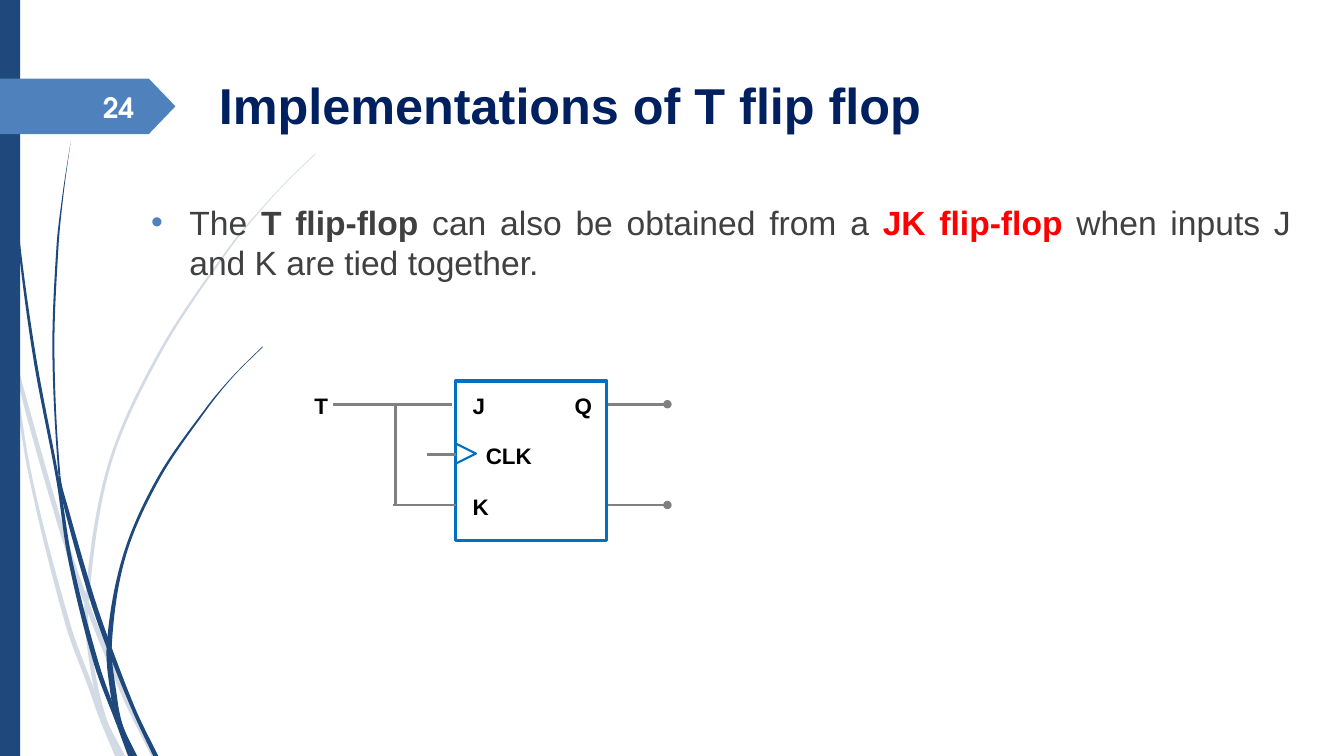
from dataclasses import dataclass

from lxml import etree
from pptx import Presentation
from pptx import util as u
from pptx.dml.color import RGBColor
from pptx.enum import shapes, text
from pptx.oxml.ns import qn


@dataclass(frozen=True)
class Theme:
    navy: str = "1F497D"
    pale: str = "D2DBE5"
    blue: str = "4F81BD"
    title: str = "002060"
    body: str = "404040"
    red: str = "FF0000"
    chip: str = "0070C0"
    wire: str = "808080"
    black: str = "000000"
    white: str = "FEFFFF"
    font: str = "Arial"
    num: str = "TeX Gyre Adventor"
    big: int = 36
    mid: int = 24
    page: int = 20
    small: int = 16


T = Theme()
W, H = 13.33, 7.5

# Each strand: the rows where it is cut, then rows of height, left, right
PALE = [
    ((2, 6), [(2.82, 0, 0), (3.22, 0.05, 0.09), (3.5, 0.1, 0.13),
              (4.69, 0.28, 0.31), (6.2, 0.65, 0.7), (6.83, 0.88, 0.93),
              (7.14, 0.99, 1.04), (7.5, 1.14, 1.19)]),
    ((3,), [(3.45, 0.14, 0.14), (3.76, 0.17, 0.21), (5.2, 0.57, 0.62),
            (5.97, 0.83, 0.88), (6.93, 1.22, 1.27), (7.5, 1.5, 1.55)]),
    ((6, 8), [(1.53, 3.12, 3.13), (1.75, 2.89, 2.9), (1.97, 2.68, 2.69),
              (2.44, 2.28, 2.3), (3.48, 1.58, 1.61), (4.61, 1.07, 1.1),
              (5.96, 0.84, 0.88), (6.46, 0.87, 0.91), (7.11, 1, 1.05),
              (7.5, 1.18, 1.24)]),
]
DARK = [
    ((4, 7), [(0, 0.03, 0.04), (1.1, 0.07, 0.08), (2.33, 0.17, 0.19),
              (3.55, 0.33, 0.36), (4.77, 0.56, 0.59), (5.57, 0.68, 0.72),
              (6.58, 0.93, 0.98), (7.2, 1.16, 1.2), (7.5, 1.27, 1.31)]),
    ((4, 7), [(1.41, 0.7, 0.7), (1.93, 0.62, 0.63), (2.45, 0.56, 0.58),
              (3.49, 0.52, 0.54), (4.72, 0.58, 0.6), (5.05, 0.64, 0.68),
              (5.91, 0.88, 0.93), (6.43, 1.06, 1.11), (7.07, 1.32, 1.36),
              (7.5, 1.52, 1.57)]),
    ((5, 7), [(3.44, 2.6, 2.61), (3.73, 2.31, 2.32), (4.05, 2.04, 2.06),
              (4.74, 1.56, 1.59), (5.51, 1.22, 1.25), (6.38, 1.06, 1.11),
              (6.91, 1.1, 1.16), (7.2, 1.17, 1.22), (7.5, 1.3, 1.36)]),
]


def rgb(code):
    return RGBColor.from_string(code)


def write(frame, runs, size=T.small, color=T.black, bold=False, font=T.font,
          align=text.PP_ALIGN.LEFT, anchor=text.MSO_ANCHOR.TOP, wrap=True,
          inset=None, bullet=None, hang=0):
    """Fill a frame; runs is a string or a list of (text, color, bold)."""
    frame.word_wrap = wrap
    frame.auto_size = text.MSO_AUTO_SIZE.NONE
    frame.vertical_anchor = anchor
    if inset is not None:
        frame.margin_left = frame.margin_right = u.Inches(inset)
        frame.margin_top = frame.margin_bottom = u.Inches(inset)
    para = frame.paragraphs[0]
    para.alignment = align
    if bullet:
        props = para._p.get_or_add_pPr()
        props.set("marL", str(u.Inches(hang)))
        props.set("indent", str(-u.Inches(hang)))
        tint = etree.SubElement(props, qn("a:buClr"))
        etree.SubElement(tint, qn("a:srgbClr"), val=bullet)
        etree.SubElement(props, qn("a:buFont"), typeface=T.font)
        etree.SubElement(props, qn("a:buChar"), char="•")
    for words, tone, heavy in [(runs, color, bold)] if isinstance(runs, str) else runs:
        run = para.add_run()
        run.text = words
        run.font.size, run.font.name, run.font.bold = u.Pt(size), font, heavy
        run.font.color.rgb = rgb(tone)


def label(slide, box, runs, **style):
    write(slide.shapes.add_textbox(*map(u.Inches, box)).text_frame, runs, **style)


def paint(shape, fill=None, line=None, width=1):
    shape.shadow.inherit = False
    if fill:
        shape.fill.solid()
        shape.fill.fore_color.rgb = rgb(fill)
    else:
        shape.fill.background()
    if line:
        shape.line.color.rgb = rgb(line)
        shape.line.width = u.Pt(width)
    else:
        shape.line.fill.background()


def block(slide, kind, box, **look):
    shape = slide.shapes.add_shape(kind, *map(u.Inches, box))
    paint(shape, **look)
    return shape


def wire(slide, start, end, dot=False):
    line = slide.shapes.add_connector(
        shapes.MSO_CONNECTOR.STRAIGHT, *map(u.Inches, (*start, *end)))
    line.line.color.rgb = rgb(T.wire)
    line.line.width = u.Pt(2)
    if dot:
        etree.SubElement(line.line._get_or_add_ln(), qn("a:tailEnd"), type="oval")
    etree.SubElement(line._element.spPr, qn("a:effectLst"))


def curve(rows, side, start, end):
    """Bezier points down one edge, from row start to row end."""
    def slope(i):
        a, b = rows[max(i - 1, 0)], rows[min(i + 1, len(rows) - 1)]
        return (b[side] - a[side]) / (b[0] - a[0])

    edge = [(rows[start][side], rows[start][0])]
    for i in range(start, end):
        y, x, y2, x2 = rows[i][0], rows[i][side], rows[i + 1][0], rows[i + 1][side]
        d = (y2 - y) / 3
        edge += [(x + d * slope(i), y + d), (x2 - d * slope(i + 1), y2 - d), (x2, y2)]
    return edge


def strand(slide, cuts, rows, color):
    stops = (0, *cuts, len(rows) - 1)
    for start, end in zip(stops, stops[1:]):
        left, right = (curve(rows, side, start, end) for side in (1, 2))
        first, *rest = [(x * 1000, y * 1000) for x, y in left + right[::-1]]
        form = slide.shapes.build_freeform(*first, scale=u.Inches(1) / 1000)
        shape = form.add_line_segments(rest).convert_to_shape()
        # Join each three points into a Bezier, except the step across
        steps = list(shape._element.iter(qn("a:lnTo")))
        del steps[len(left) - 1]
        for a, b, c in zip(steps[::3], steps[1::3], steps[2::3]):
            bend = etree.Element(qn("a:cubicBezTo"))
            a.addprevious(bend)
            for step in (a, b, c):
                bend.append(step[0])
                step.getparent().remove(step)
        paint(shape, fill=color)


def decor(slide):
    for group, color in ((PALE, T.pale), (DARK, T.navy)):
        for cuts, rows in group:
            strand(slide, cuts, rows, color)
    # Side bar and page tag
    block(slide, shapes.MSO_SHAPE.RECTANGLE, (0, 0, 0.2, H), fill=T.navy)
    tag = block(slide, shapes.MSO_SHAPE.PENTAGON, (0, 0.78, 1.74, 0.55), fill=T.blue)
    tag.adjustments[0] = 0.48
    label(slide, (0.58, 0.86, 0.85, 0.4), "24", size=T.page, color=T.white,
          bold=True, font=T.num, align=text.PP_ALIGN.RIGHT,
          anchor=text.MSO_ANCHOR.MIDDLE)


def heading(slide, box, words):
    title = slide.shapes.title
    title.left, title.top, title.width, title.height = map(u.Inches, box)
    write(title.text_frame, words, size=T.big, color=T.title, bold=True,
          anchor=text.MSO_ANCHOR.MIDDLE, inset=0.03)


def circuit(slide, box):
    x, y, w, h = box
    top, mid, low = (y + 0.23 + 0.5 * i for i in range(3))
    for row in (top, low):
        wire(slide, (x + w, row), (x + w + 0.6, row), dot=True)
    # Chip with clock mark
    block(slide, shapes.MSO_SHAPE.RECTANGLE, box, line=T.chip, width=2.25)
    mark = block(slide, shapes.MSO_SHAPE.ISOSCELES_TRIANGLE,
                 (x, mid - 0.11, 0.2, 0.2), line=T.chip, width=1.5)
    mark.rotation = 90
    # Inputs J and K tied to T
    joint = x - 0.6
    for start, end in (((x - 0.04, top), (x - 1.22, top)),
                       ((x, low), (joint - 0.02, low)),
                       ((x, mid), (x - 0.28, mid)), ((joint, top), (joint, low))):
        wire(slide, start, end)
    # Pin names
    for name, dx, row, wide in (("T", -1.5, top, 0.34), ("J", 0.07, top, 0.33),
                                ("Q", 1.08, top, 0.38), ("CLK", 0.2, mid, 0.66),
                                ("K", 0.07, low, 0.36)):
        label(slide, (x + dx, row - 0.17, wide, 0.37), name, bold=True, wrap=False)


deck = Presentation()
deck.slide_width, deck.slide_height = u.Inches(W), u.Inches(H)
page = deck.slides.add_slide(deck.slide_layouts.get_by_name("Title Only"))
decor(page)
heading(page, (2.14, 0.62, 10.76, 0.83), "Implementations of T flip flop")
label(page, (1.4, 1.95, 11.5, 4.76), [
    ("The ", T.body, False), ("T flip-flop ", T.body, True),
    ("can also be obtained from a ", T.body, False), ("JK flip-flop ", T.red, True),
    ("when inputs J and K are tied together.", T.body, False),
], size=T.mid, align=text.PP_ALIGN.JUSTIFY, bullet=T.blue, hang=0.38)
circuit(page, (4.52, 3.78, 1.5, 1.58))
deck.save("out.pptx")
